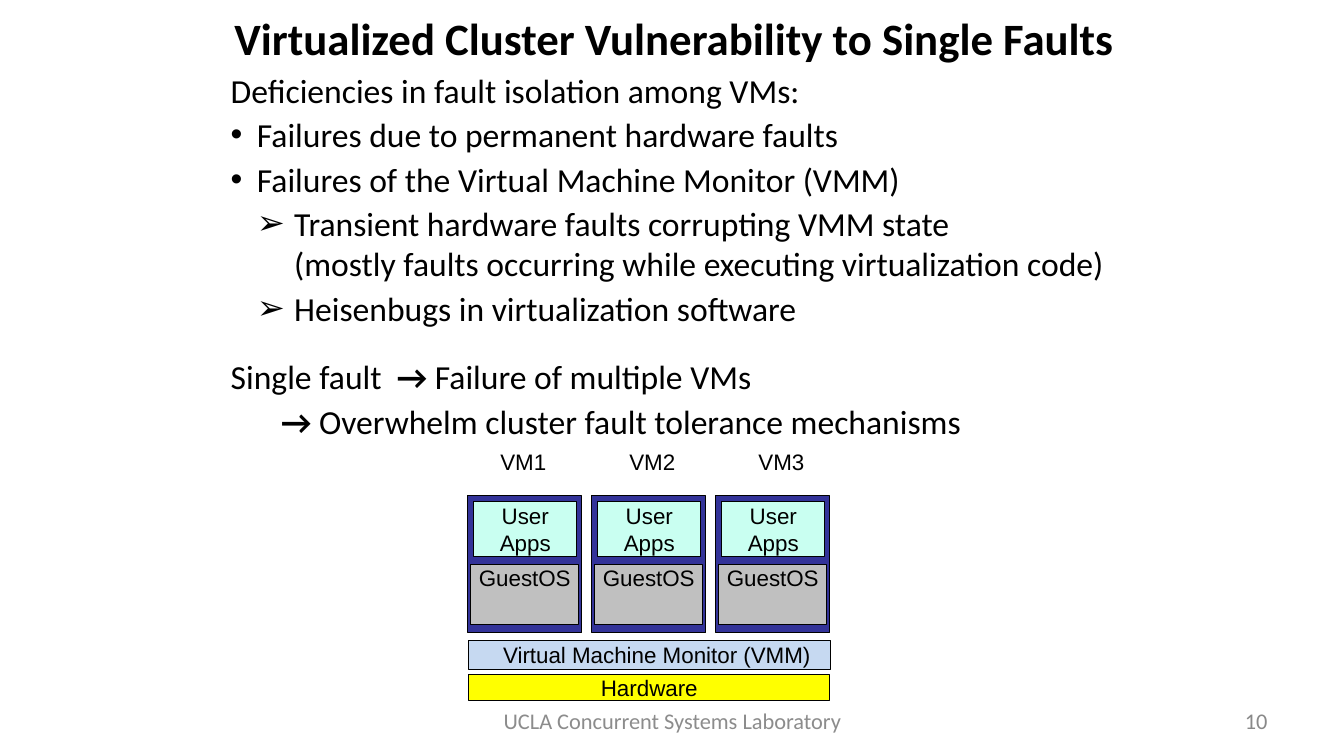
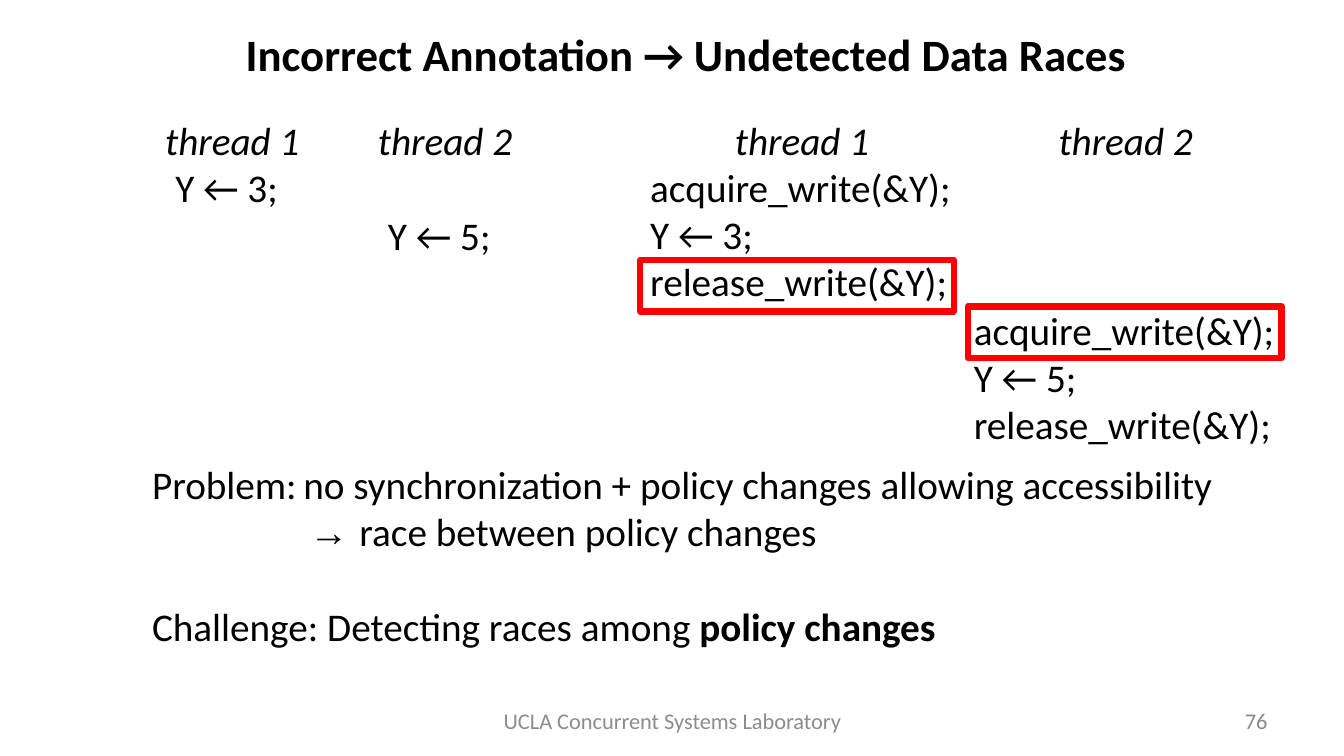
from lxml import etree
from pptx import Presentation
from pptx.dml.color import RGBColor
from pptx.enum.shapes import MSO_SHAPE
from pptx.enum.text import MSO_ANCHOR, PP_ALIGN
from pptx.oxml.ns import qn
from pptx.util import Inches, Pt

LEFT, CENTER, RIGHT = PP_ALIGN.LEFT, PP_ALIGN.CENTER, PP_ALIGN.RIGHT
TOP, MIDDLE = MSO_ANCHOR.TOP, MSO_ANCHOR.MIDDLE
RECTANGLE = MSO_SHAPE.RECTANGLE

BLACK = RGBColor(0x00, 0x00, 0x00)
FOOTER_GREY = RGBColor(0x8C, 0x8C, 0x8C)
NUMBER_GREY = RGBColor(0x89, 0x89, 0x89)
VM_BLUE = RGBColor(0x33, 0x33, 0x99)
GUEST_GREY = RGBColor(0xC0, 0xC0, 0xC0)
APPS_MINT = RGBColor(0xC9, 0xFF, 0xF1)
VMM_BLUE = RGBColor(0xC6, 0xD9, 0xF1)
HARDWARE_YELLOW = RGBColor(0xFF, 0xFF, 0x00)
HIGHLIGHT_RED = RGBColor(0xFF, 0x00, 0x00)

BODY_FONT, DIAGRAM_FONT = "Calibri", "Arial"


def add_box(page, at, fill=None, line=None, line_width=0.75,
            inset=(0.1, 0.05, 0.1, 0.05), anchor=TOP):
    """Add a text box, or a rectangle when a line colour is given."""
    place = [Inches(length) for length in at]
    if line is None:
        box = page.shapes.add_textbox(*place)
    else:
        box = page.shapes.add_shape(RECTANGLE, *place)
        box.shadow.inherit = False
        box.line.color.rgb = line
        box.line.width = Pt(line_width)
        if fill is None:
            box.fill.background()
        else:
            box.fill.solid()
            box.fill.fore_color.rgb = fill
    frame = box.text_frame
    frame.word_wrap = True
    frame.vertical_anchor = anchor
    (frame.margin_left, frame.margin_top,
     frame.margin_right, frame.margin_bottom) = [Inches(side) for side in inset]
    return box


def write(box, text, size=28, font=BODY_FONT, color=BLACK, bold=False, italic=False,
          align=LEFT, before=0, indent=0, hanging=0, bullet=None, tab=None):
    """Add a paragraph; text is a string or (string, bold, font) spans."""
    frame = box.text_frame
    para = frame.paragraphs[0]
    if para.runs:
        para = frame.add_paragraph()
    para.alignment = align
    para.space_before = Pt(before)
    properties = para._p.get_or_add_pPr()
    properties.set("marL", str(Inches(indent)))
    properties.set("indent", str(-Inches(hanging)))
    if bullet:
        etree.SubElement(properties, qn("a:buFont"), typeface="Arial")
        etree.SubElement(properties, qn("a:buChar"), char=bullet)
    if tab:
        tabs = etree.SubElement(properties, qn("a:tabLst"))
        etree.SubElement(tabs, qn("a:tab"), pos=str(Inches(tab)), algn="l")
    spans = [(text, bold, font)] if isinstance(text, str) else text
    for words, span_bold, span_font in spans:
        for number, part in enumerate(words.split("\n")):
            if number:
                para.add_line_break()
            span = para.add_run()
            span.text = part
            span.font.size = Pt(size)
            span.font.name = span_font
            span.font.color.rgb = color
            span.font.bold = span_bold
            span.font.italic = italic


deck = Presentation()
deck.slide_width, deck.slide_height = Inches(13.33), Inches(7.5)

# Shared title, footer and page number
pages = []
for title, title_at, number in [
    ("Virtualized Cluster Vulnerability to Single Faults", (2.19, 0.06, 9, 0.63), "10"),
    ("Incorrect Annotation → Undetected Data Races", (2.17, 0.19, 9.27, 0.69), "76"),
]:
    page = deck.slides.add_slide(deck.slide_layouts[6])
    write(add_box(page, title_at, anchor=MIDDLE), title, size=32, bold=True, align=CENTER)
    write(add_box(page, (4.56, 6.95, 4.22, 0.4), anchor=MIDDLE),
          "UCLA Concurrent Systems Laboratory", size=16, color=FOOTER_GREY, align=CENTER)
    write(add_box(page, (9.56, 6.95, 3.11, 0.4), anchor=MIDDLE),
          number, size=16, color=NUMBER_GREY, align=RIGHT)
    pages.append(page)
faults_page, races_page = pages

# Fault isolation: body text
body = add_box(faults_page, (2.19, 0.64, 9.13, 3.9))
dot = dict(bullet="•", indent=0.26, hanging=0.26)
arrow = dict(bullet="➢", indent=0.63, hanging=0.37)
write(body, "Deficiencies in fault isolation among VMs:", size=24)
for text, style in [
    ("Failures due to permanent hardware faults", dot),
    ("Failures of the Virtual Machine Monitor (VMM)", dot),
    ("Transient hardware faults corrupting VMM state\n"
     "(mostly faults occurring while executing virtualization code)", arrow),
    ("Heisenbugs in virtualization software", arrow),
]:
    write(body, text, size=24, before=3, **style)
write(body, [("Single fault  ", False, BODY_FONT), ("→", True, BODY_FONT),
             (" Failure of multiple VMs", False, BODY_FONT)], size=24, before=20)
write(body, [("→", True, BODY_FONT),
             (" Overwhelm cluster fault tolerance mechanisms", False, BODY_FONT)],
      size=24, before=3, indent=0.5)

# Fault isolation: virtual machines above the VMM and the hardware
diagram = dict(size=16, font=DIAGRAM_FONT, align=CENTER)
no_inset = (0, 0, 0, 0)
for index in range(3):
    left = 4.64 + 1.23 * index
    label = add_box(faults_page, (4.75 + 1.28 * index, 4.4, 0.88, 0.37))
    write(label, f"VM{index + 1}", **diagram)
    add_box(faults_page, (left, 4.92, 1.13, 1.36), VM_BLUE, BLACK)
    guest = add_box(faults_page, (left + 0.03, 5.6, 1.07, 0.6), GUEST_GREY, BLACK,
                    inset=no_inset)
    write(guest, "GuestOS", **diagram)
    apps = add_box(faults_page, (left + 0.06, 4.98, 1.02, 0.54), APPS_MINT, BLACK,
                   inset=no_inset)
    write(apps, "User", **diagram)
    write(apps, "Apps", **diagram)
for text, at, fill, inset in [
    ("Virtual Machine Monitor (VMM)", (4.65, 6.35, 3.59, 0.29), VMM_BLUE, (0.14, 0, 0, 0)),
    ("Hardware", (4.65, 6.69, 3.58, 0.26), HARDWARE_YELLOW, no_inset),
]:
    layer = add_box(faults_page, at, fill, BLACK, inset=inset, anchor=MIDDLE)
    write(layer, text, **diagram)

# Data races: thread columns, each starting some rows below its heading
ROW = 34.2
for heading, at, skipped_rows, indent, steps in [
    ("thread 1", (1.02, 1.1, 2.57, 1.08), 0, 0.62, ["Y ← 3;"]),
    ("thread 2", (3.13, 1.1, 2.57, 1.55), 1, 0.62, ["Y ← 5;"]),
    ("thread 1", (6.35, 1.1, 3.21, 2.05), 0, 0,
     ["acquire_write(&Y);", "Y ← 3;", "release_write(&Y);"]),
    ("thread 2", (9.56, 1.1, 3.21, 3.42), 3, 0,
     ["acquire_write(&Y);", "Y ← 5;", "release_write(&Y);"]),
]:
    column = add_box(races_page, at)
    write(column, heading, italic=True, align=CENTER)
    for number, step in enumerate(steps):
        write(column, step, indent=indent, before=0 if number else skipped_rows * ROW)

# Data races: highlighted policy changes
for left, top in [(9.6, 3.04), (6.35, 2.58)]:
    add_box(races_page, (left, top, 3.11, 0.51), line=HIGHLIGHT_RED, line_width=4.5)

# Data races: problem and challenge
summary = add_box(races_page, (1.41, 4.52, 11.25, 1.99))
write(summary, "Problem:\tno synchronization + policy changes allowing accessibility", tab=1.56)
write(summary, [("→ ", False, DIAGRAM_FONT),
                ("race between policy changes", False, BODY_FONT)], indent=1.56)
write(summary, [("Challenge: Detecting races among ", False, BODY_FONT),
                ("policy changes", True, BODY_FONT)], before=ROW)

deck.save("out.pptx")
